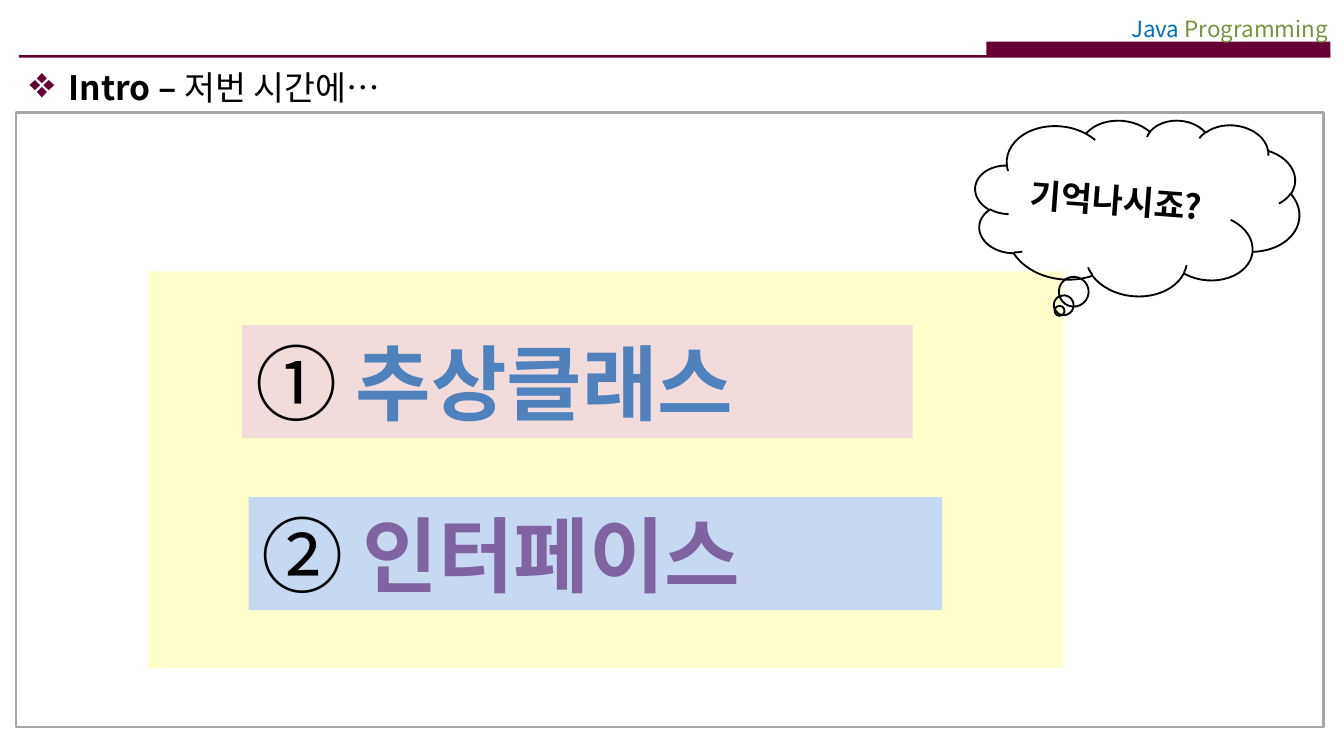
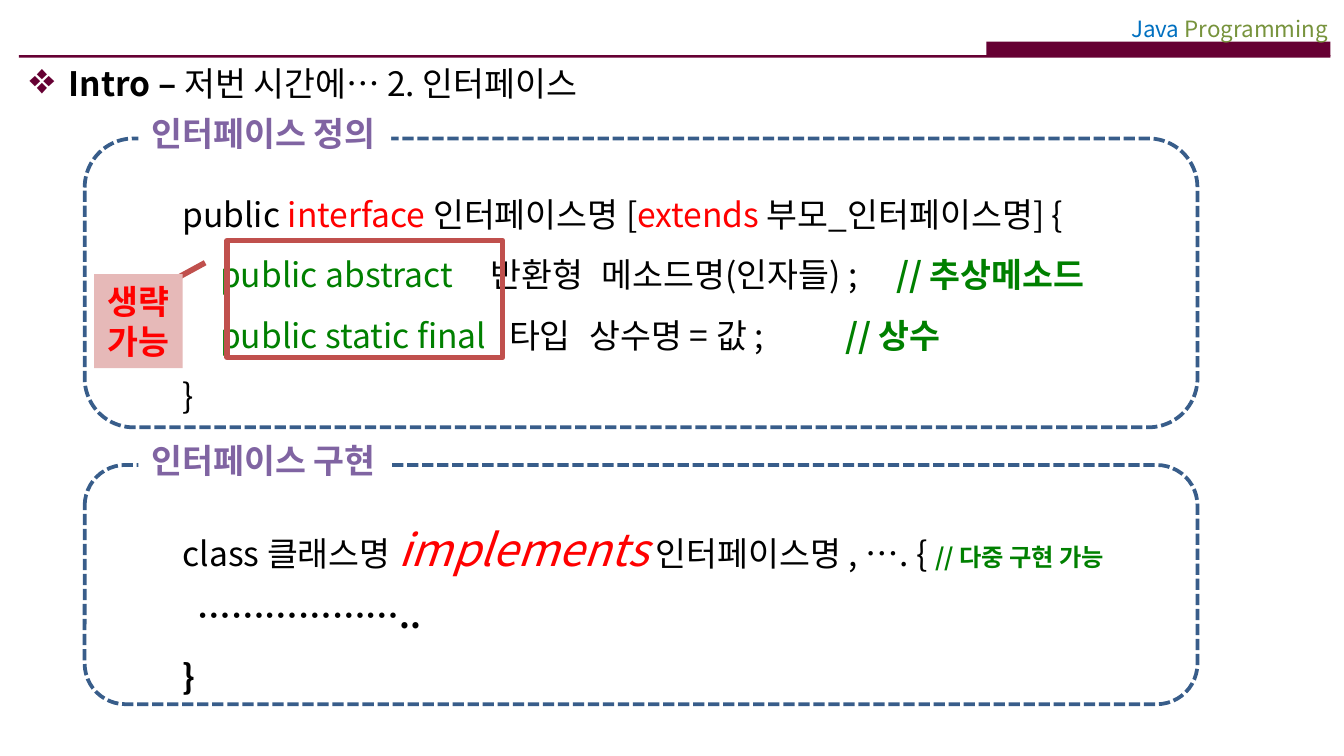
import lxml.etree
import pptx
import pptx.dml.color
import pptx.enum.dml
import pptx.enum.shapes
import pptx.enum.text
import pptx.oxml.ns
import pptx.util

Inches, Pt = pptx.util.Inches, pptx.util.Pt
rgb = pptx.dml.color.RGBColor.from_string
qn = pptx.oxml.ns.qn
SHAPE = pptx.enum.shapes.MSO_SHAPE
ANCHOR = pptx.enum.text.MSO_ANCHOR
ALIGN = pptx.enum.text.PP_ALIGN


class Theme:
    font = "Noto Sans CJK KR"
    small, note, body, strong, huge = 12, 13, 18, 24, 44
    black, white, red, green = "000000", "FFFFFF", "FF0000", "008000"
    maroon, java, programming = "660033", "0070C0", "77933C"
    blue, purple, brick = "4F81BD", "8064A2", "C0504D"
    cream, pink, sky, rose = "FFFFCC", "F2DCDB", "C6D9F1", "E6B9B8"
    frame, dashed = "A6A6A6", "385D8A"


def write(frame, lines, size=Theme.body, color=Theme.black, bold=False, align=ALIGN.LEFT,
          anchor=ANCHOR.MIDDLE, wrap=True, spacing=None, tabs=None):
    """Fill a text frame; a line is a list of (text, overrides), tabs maps line number to stops."""
    frame.word_wrap = wrap
    frame.auto_size = pptx.enum.text.MSO_AUTO_SIZE.NONE
    frame.vertical_anchor = anchor
    for number, line in enumerate(lines):
        paragraph = frame.add_paragraph() if number else frame.paragraphs[0]
        paragraph.alignment = align
        if spacing:
            paragraph.line_spacing = spacing
        if tabs and number in tabs:
            stops = lxml.etree.SubElement(paragraph._p.get_or_add_pPr(), qn("a:tabLst"))
            for stop in tabs[number]:
                lxml.etree.SubElement(stops, qn("a:tab"), pos=str(Inches(stop)), algn="l")
        for text, own in line:
            run = paragraph.add_run()
            run.text = text
            run.font.size = Pt(own.get("size", size))
            run.font.bold = own.get("bold", bold)
            run.font.italic = own.get("italic", False)
            run.font.color.rgb = rgb(own.get("color", color))
            run.font.name = Theme.font
            lxml.etree.SubElement(run._r.get_or_add_rPr(), qn("a:ea"), typeface=Theme.font)


def add_block(shapes, kind, box, fill=None, line=None, weight=1, adjust=()):
    block = shapes.add_shape(kind, *map(Inches, box))
    block.shadow.inherit = False
    for index, value in enumerate(adjust):
        block.adjustments[index] = value
    if fill:
        block.fill.solid()
        block.fill.fore_color.rgb = rgb(fill)
    else:
        block.fill.background()
    if line:
        block.line.color.rgb = rgb(line)
        block.line.width = Pt(weight)
    else:
        block.line.fill.background()
    return block


prs = pptx.Presentation()
prs.slide_width = Inches(10)
prs.slide_height = prs.slide_width * 9 // 16
layout = prs.slide_layouts.get_by_name("Title Only")

# Headings
headings = [("저번 시간에…", 0.45), ("저번 시간에… 2. 인터페이스", 0.42)]
slides = []
for topic, top in headings:
    slide = prs.slides.add_slide(layout)
    slides.append(slide)
    heading = slide.shapes.title
    heading.left, heading.top = Inches(0.12), Inches(top)
    heading.width, heading.height = Inches(9.75), Inches(0.4)
    bullet = heading.text_frame.paragraphs[0]._p.get_or_add_pPr()
    bullet.set("marL", str(Inches(0.29)))
    bullet.set("indent", str(-Inches(0.29)))
    bullet_color = lxml.etree.SubElement(bullet, qn("a:buClr"))
    lxml.etree.SubElement(bullet_color, qn("a:srgbClr"), val=Theme.maroon)
    lxml.etree.SubElement(bullet, qn("a:buSzPct"), val="130000")
    lxml.etree.SubElement(bullet, qn("a:buChar"), char="❖")
    write(heading.text_frame, [[("Intro – ", {"bold": True}), (topic, {})]])
recap, interface = slides

# Header band, moved to the layout that both slides share
band = add_block(recap.shapes, SHAPE.RECTANGLE, (7.34, 0.31, 2.56, 0.11), Theme.maroon)
rule = add_block(recap.shapes, SHAPE.RECTANGLE, (0.14, 0.41, 9.76, 0.02), Theme.maroon)
course = recap.shapes.add_textbox(Inches(7.93), Inches(0.06), Inches(2.05), Inches(0.3))
write(course.text_frame, [[("Java ", {"color": Theme.java}),
                           ("Programming", {"color": Theme.programming})]],
      size=Theme.small, align=ALIGN.RIGHT)
for shape_id, part in enumerate((band, rule, course), start=20):
    part.element.nvSpPr.cNvPr.set("id", str(shape_id))
    layout.shapes.element.append(part.element)

# Slide 1: the two topics of last time
add_block(recap.shapes, SHAPE.ROUNDED_RECTANGLE, (0.12, 0.84, 9.73, 4.57),
          line=Theme.frame, weight=1.5, adjust=(0,))
add_block(recap.shapes, SHAPE.RECTANGLE, (1.1, 2.02, 6.81, 2.95), Theme.cream)
topics = [
    ("① ", "추상클래스", (1.8, 2.42, 4.99, 0.84), Theme.pink, Theme.blue),
    ("② ", "인터페이스", (1.85, 3.7, 5.16, 0.84), Theme.sky, Theme.purple),
]
for number, topic, box, fill, color in topics:
    topic_bar = add_block(recap.shapes, SHAPE.RECTANGLE, box, fill)
    write(topic_bar.text_frame, [[(number, {}), (topic, {"color": color, "bold": True})]],
          size=Theme.huge)

question = recap.shapes.add_textbox(Inches(7.57), Inches(1.3), Inches(1.76), Inches(0.4))
question.rotation = 4.3
write(question.text_frame, [[("기억나시죠?", {})]], bold=True)
cloud = add_block(recap.shapes, SHAPE.CLOUD_CALLOUT, (7.25, 0.87, 2.42, 1.33),
                  line=Theme.black, adjust=(-0.21, 0.62))
cloud.rotation = 4.9

# Slide 2: syntax of defining and implementing an interface
red, green = {"color": Theme.red}, {"color": Theme.green}
comment = {"color": Theme.green, "bold": True}
definition = [
    [("public ", {}), ("interface ", red), ("인터페이스명 [", {}), ("extends ", red),
     ("부모_인터페이스명] {", {})],
    [("     ", {}), ("public abstract", green), ("\t반환형\t메소드명(인자들) ;\t", {}),
     ("// 추상메소드", comment)],
    [("     ", {}), ("public static final", green), ("\t타입\t상수명 = 값 ;\t", {}),
     ("// 상수", comment)],
    [("}", {})],
]
implementation = [
    [("class 클래스명 ", {}),
     ("implements", {"size": Theme.strong, "color": Theme.red, "italic": True}),
     (" 인터페이스명 , …. { ", {}), ("// 다중 구현 가능", {**comment, "size": Theme.note})],
    [("  ………………..", {"bold": True})],
    [("}", {"bold": True})],
]
definition_tabs = {1: (2.29, 3.12, 5.31), 2: (2.43, 3.03, 4.93)}
panels = [
    ("인터페이스 정의", definition, definition_tabs, 1.03, 2.15, 1.24),
    ("인터페이스 구현", implementation, None, 3.46, 1.78, 3.63),
]
for label, code, tabs, top, height, code_top in panels:
    panel = interface.shapes.add_group_shape().shapes
    syntax = panel.add_textbox(Inches(1.26), Inches(code_top), Inches(7.53), Inches(height))
    write(syntax.text_frame, code, anchor=ANCHOR.TOP, spacing=1.5, tabs=tabs)
    border = add_block(panel, SHAPE.ROUNDED_RECTANGLE, (0.63, top, 8.28, height),
                       line=Theme.dashed, weight=2, adjust=(0.17,))
    border.line.dash_style = pptx.enum.dml.MSO_LINE.SQUARE_DOT
    caption = add_block(panel, SHAPE.RECTANGLE, (1.03, top - 0.24, 1.88, 0.4), Theme.white)
    write(caption.text_frame, [[(label, {})]], color=Theme.purple, bold=True, wrap=False)

add_block(interface.shapes, SHAPE.LINE_CALLOUT_1, (1.69, 1.79, 2.05, 0.87),
          line=Theme.brick, weight=3, adjust=(0.19, -0.08, 0.37, -0.22))
optional = add_block(interface.shapes, SHAPE.RECTANGLE, (0.7, 2.04, 0.66, 0.7), Theme.rose)
write(optional.text_frame, [[("생략", {})], [("가능", {})]],
      color=Theme.red, bold=True, wrap=False)

prs.save("out.pptx")
